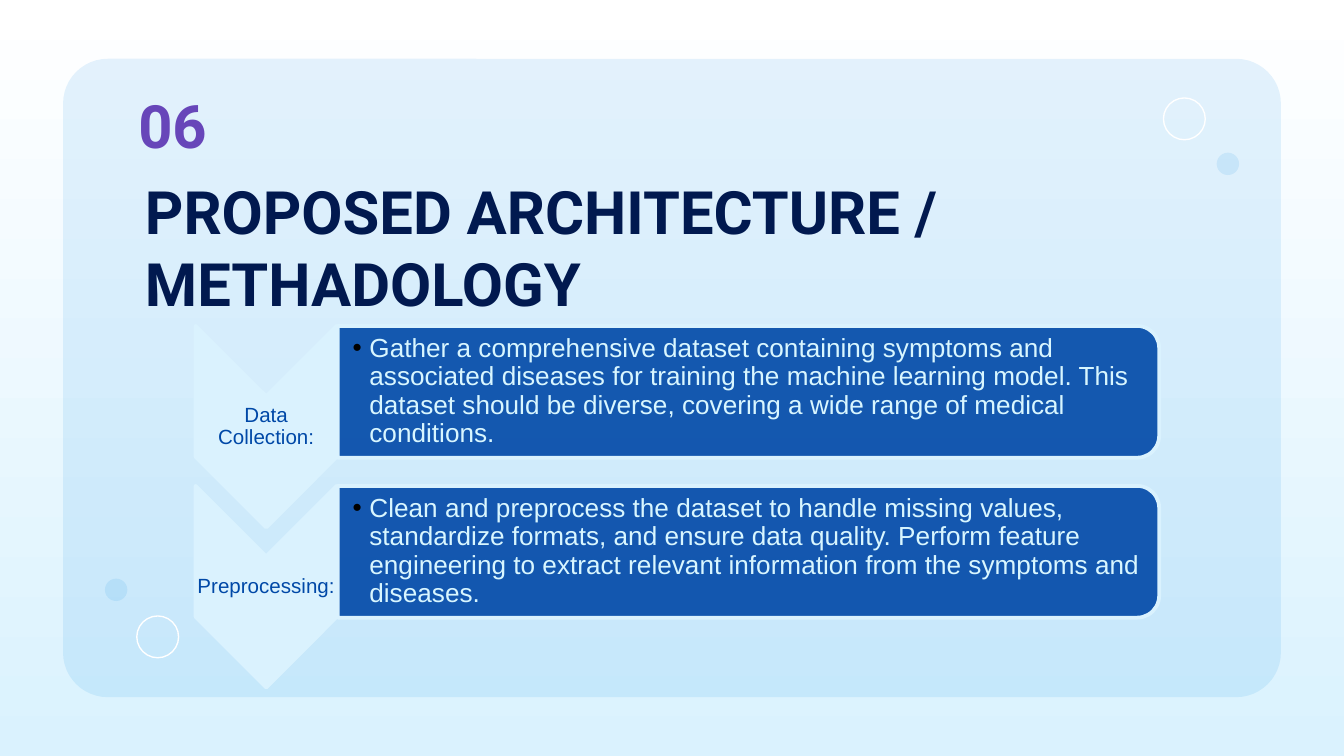
from pptx import Presentation
from pptx.dml.color import RGBColor as RGB
from pptx.enum.shapes import MSO_SHAPE as Shape
from pptx.enum.text import MSO_ANCHOR as Anchor, MSO_AUTO_SIZE as AutoSize, PP_ALIGN as Align
from pptx.oxml.ns import qn
from pptx.util import Pt
from lxml.etree import SubElement

COLORS = {
    "white": "FFFFFF", "ice": "DAF2FE", "sky": "0388E5", "blue": "0048A7",
    "pale": "D8F6FF", "navy": "01194F", "purple": "6746B9", "black": "000000",
}

STEPS = [
    ("Data Collection:",
     "Gather a comprehensive dataset containing symptoms and associated diseases for "
     "training the machine learning model. This dataset should be diverse, covering a "
     "wide range of medical conditions."),
    ("Preprocessing:",
     "Clean and preprocess the dataset to handle missing values, standardize formats, "
     "and ensure data quality. Perform feature engineering to extract relevant "
     "information from the symptoms and diseases."),
]
STEP_TOP, STEP_PITCH = 174.6, 85.7


def rgb(name):
    return RGB.from_string(COLORS[name])


class SlideBuilder:
    """Holds the style and the current slide; all lengths are points."""

    heading_font, body_font = "Roboto", "Arial"

    def __init__(self, slide):
        self.slide = slide

    def background(self, top, bottom):
        fill = self.slide.background.fill
        fill.gradient()
        fill.gradient_angle = 270
        for stop, position, color in zip(fill.gradient_stops, (0, 1), (top, bottom)):
            stop.position = position
            stop.color.rgb = rgb(color)

    def shape(self, kind, x, y, w, h, fill=None, opacity=100, line=None, weight=0.75):
        sp = self.slide.shapes.add_shape(kind, Pt(x), Pt(y), Pt(w), Pt(h))
        sp.shadow.inherit = False
        if fill:
            sp.fill.solid()
            sp.fill.fore_color.rgb = rgb(fill)
            if opacity < 100:
                color = sp.fill._xPr.find(qn("a:solidFill"))[0]
                SubElement(color, qn("a:alpha"), val=str(opacity * 1000))
        else:
            sp.fill.background()
        if line:
            sp.line.color.rgb = rgb(line)
            sp.line.width = Pt(weight)
        else:
            sp.line.fill.background()
        return sp

    def turned_shape(self, kind, x, y, w, h, **style):
        """Add a shape turned by 90 degrees that covers the given box."""
        sp = self.shape(kind, x + (w - h) / 2, y + (h - w) / 2, h, w, **style)
        sp.rotation = 90

    def text(self, text, x, y, w, h, size, color, font):
        sp = self.slide.shapes.add_textbox(Pt(x), Pt(y), Pt(w), Pt(h))
        tf = sp.text_frame
        tf.word_wrap = True
        tf.text = text
        p = tf.paragraphs[0]
        r = p.runs[0]
        r.font.size, r.font.name = Pt(size), font
        r.font.color.rgb = rgb(color)
        return tf, p, r

    def heading(self, text, x, y, w, h, color):
        tf, p, r = self.text(text, x, y, w, h, 32, color, self.heading_font)
        tf.auto_size = AutoSize.SHAPE_TO_FIT_TEXT
        r.font.bold = True

    def body(self, text, x, y, w, h, size, color, inset=0.7, after=0.0):
        tf, p, r = self.text(text, x, y, w, h, size, color, self.body_font)
        tf.vertical_anchor = Anchor.MIDDLE
        tf.margin_left = Pt(inset)
        tf.margin_top = tf.margin_right = tf.margin_bottom = Pt(0.7)
        p.line_spacing, p.space_after = 0.9, Pt(after)
        return p

    def label(self, text, x, y, w, h):
        p = self.body(text, x, y, w, h, 11, "blue", after=3.85)
        p.alignment = Align.CENTER

    def bullet(self, text, x, y, w, h):
        p = self.body(text, x, y, w, h, 14, "pale", inset=7.9, after=2.1)
        p.level = 1
        pPr = p._p.get_or_add_pPr()
        pPr.set("marL", str(Pt(9)))
        pPr.set("indent", str(-Pt(9)))
        SubElement(SubElement(pPr, qn("a:buClr")), qn("a:srgbClr"), val=COLORS["black"])
        SubElement(pPr, qn("a:buFont"), typeface=self.body_font)
        SubElement(pPr, qn("a:buChar"), char="•")

    def bubbles(self, ring, dot):
        self.shape(Shape.OVAL, *ring, 22.4, 22.4, line="white")
        self.shape(Shape.OVAL, *dot, 12, 12, fill="sky", opacity=10)

    def step(self, label, details, y):
        edge = dict(line="ice", weight=2)
        self.turned_shape(Shape.CHEVRON, 104.8, y, 75.6, 108, fill="ice", **edge)
        self.label(label, 104.8, y + 37.8, 75.6, 32.4)
        self.turned_shape(Shape.ROUND_2_SAME_RECTANGLE, 181, y, 440, 70.6,
                          fill="blue", opacity=90, **edge)
        self.bullet(details, 181, y + 3.4, 437, 63.4)


def main():
    prs = Presentation()
    prs.slide_width, prs.slide_height = Pt(720), Pt(405)
    b = SlideBuilder(prs.slides.add_slide(prs.slide_layouts[6]))

    b.background("white", "ice")
    card = b.shape(Shape.ROUNDED_RECTANGLE, 33.8, 31.5, 652.4, 342, fill="sky", opacity=10)
    card.adjustments[0] = 0.07
    b.bubbles(ring=(73.3, 330), dot=(56.2, 310))
    b.bubbles(ring=(623.3, 52.5), dot=(651.8, 81.8))

    b.heading("PROPOSED ARCHITECTURE / METHADOLOGY", 70.6, 90, 612, 85, "navy")
    b.heading("06", 67, 44, 66, 46, "purple")
    for i, (label, details) in enumerate(STEPS):
        b.step(label, details, STEP_TOP + i * STEP_PITCH)

    prs.save("out.pptx")


if __name__ == "__main__":
    main()
